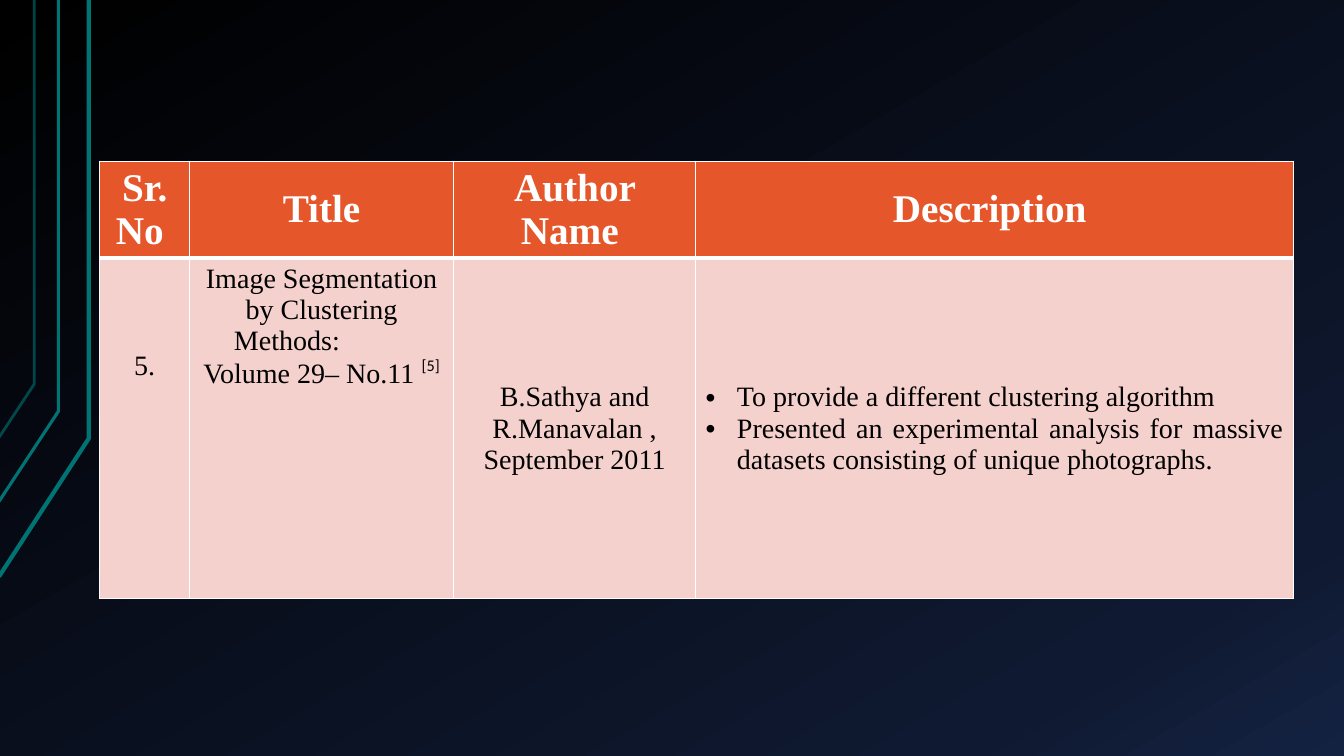
from pptx import Presentation
from pptx.dml.color import RGBColor
from pptx.enum.text import MSO_ANCHOR as Anchor, PP_ALIGN as Align
from pptx.oxml.ns import qn
from pptx.util import Inches, Pt
from lxml.etree import SubElement


def color(value):
    return RGBColor.from_string(value)


class SlideMaker:
    font = "Times New Roman"
    teal = "007373"
    white = "FFFFFF"
    header_fill = "E5572B"
    body_fill = "F5D1CD"

    def __init__(self, deck):
        self.page = deck.slides.add_slide(deck.slide_layouts[6])

    def background(self, stops, angle):
        fill = self.page.background.fill
        fill.gradient()
        fill.gradient_angle = 360 - angle
        stop_list = next(self.page.element.iter(qn("a:gsLst")))
        for stop in list(stop_list):
            stop_list.remove(stop)
        for position, value in stops:
            stop = SubElement(stop_list, qn("a:gs"), pos=str(position * 1000))
            SubElement(stop, qn("a:srgbClr"), val=value)

    def outline(self, points, width, opacity=100):
        start, *rest = [(Inches(x), Inches(y)) for x, y in points]
        builder = self.page.shapes.build_freeform(*start)
        builder.add_line_segments(rest, close=False)
        shape = builder.convert_to_shape()
        shape.shadow.inherit = False
        shape.fill.background()
        shape.line.color.rgb = color(self.teal)
        shape.line.width = Pt(width)
        if opacity < 100:
            line_color = next(shape.line._ln.iter(qn("a:srgbClr")))
            SubElement(line_color, qn("a:alpha"), val=str(opacity * 1000))

    def table(self, left, top, columns, rows):
        frame = self.page.shapes.add_table(
            len(rows), len(columns), Inches(left), Inches(top),
            Inches(sum(columns)), Inches(sum(rows)))
        grid = frame.table
        for column, width in zip(grid.columns, columns):
            column.width = Inches(width)
        for row, height in zip(grid.rows, rows):
            row.height = Inches(height)
        return grid

    def borders(self, cell, top, bottom):
        properties = cell._tc.get_or_add_tcPr()
        sides = {"a:lnL": 1, "a:lnR": 1, "a:lnT": top, "a:lnB": bottom}
        for index, (side, width) in enumerate(sides.items()):
            line = SubElement(properties, qn(side), w=str(Pt(width)))
            fill = SubElement(line, qn("a:solidFill"))
            SubElement(fill, qn("a:srgbClr"), val=self.white)
            properties.insert(index, line)

    def cell(self, cell, texts, header=False, align=Align.CENTER,
             anchor=Anchor.MIDDLE, bullet=False):
        cell.fill.solid()
        cell.fill.fore_color.rgb = color(
            self.header_fill if header else self.body_fill)
        self.borders(cell, *((1, 3) if header else (3, 1)))
        cell.vertical_anchor = anchor
        for index, text in enumerate(texts):
            box = cell.text_frame
            para = box.add_paragraph() if index else box.paragraphs[0]
            para.add_run().text = text
            para.alignment = align
            if bullet:
                self.indent(para, 0.31, -0.31)
                properties = para._p.get_or_add_pPr()
                SubElement(properties, qn("a:buFont"), typeface="Arial")
                SubElement(properties, qn("a:buChar"), char="•")
            para.font.name = self.font
            para.font.size = Pt(28 if header else 20)
            para.font.bold = header
            para.font.color.rgb = color(self.white if header else "000000")

    def indent(self, para, left, first=0):
        properties = para._p.get_or_add_pPr()
        properties.set("marL", str(Inches(left)))
        properties.set("indent", str(Inches(first)))

    def superscript(self, para, text):
        span = para.add_run()
        span.text = text
        span.font.name = "Calibri"
        span.font._element.set("baseline", "40000")


def main():
    deck = Presentation()
    deck.slide_width, deck.slide_height = Inches(13.33), Inches(7.5)
    maker = SlideMaker(deck)

    # Background and angled lines
    maker.background([(0, "000000"), (85, "0F1931"), (100, "142242")], 60)
    maker.outline([(-0.01, 5.72), (0.88, 4.35), (0.88, 0)], 3)
    maker.outline([(-0.02, 4.99), (0.58, 4.08), (0.58, 0)], 2.25)
    maker.outline([(-0.01, 4.34), (0.34, 3.81), (0.34, 0)], 2, opacity=60)

    # Table header
    grid = maker.table(0.99, 1.6, [0.89, 2.62, 2.4, 5.93], [0.96, 3.38])
    headings = ["Sr. No ", "Title", "Author Name ", "Description "]
    for column, heading in enumerate(headings):
        maker.cell(grid.cell(0, column), [heading], header=True)

    # Paper details
    number, title, author, description = grid.rows[1].cells
    maker.cell(number, ["5."], anchor=Anchor.TOP)
    number.margin_top = Inches(0.92)

    maker.cell(title, ["Image Segmentation by Clustering", "Methods:",
                       "Volume 29– No.11 "], anchor=Anchor.TOP)
    methods, volume = title.text_frame.paragraphs[1:]
    methods.alignment = Align.LEFT
    maker.indent(methods, 0.34)
    maker.superscript(volume, "[5]")

    maker.cell(author, ["B.Sathya and R.Manavalan , September 2011"])
    maker.cell(description, [
        "To provide a different clustering algorithm",
        "Presented an experimental analysis for massive datasets "
        "consisting of unique photographs."], align=Align.JUSTIFY, bullet=True)

    deck.save("out.pptx")


if __name__ == "__main__":
    main()
